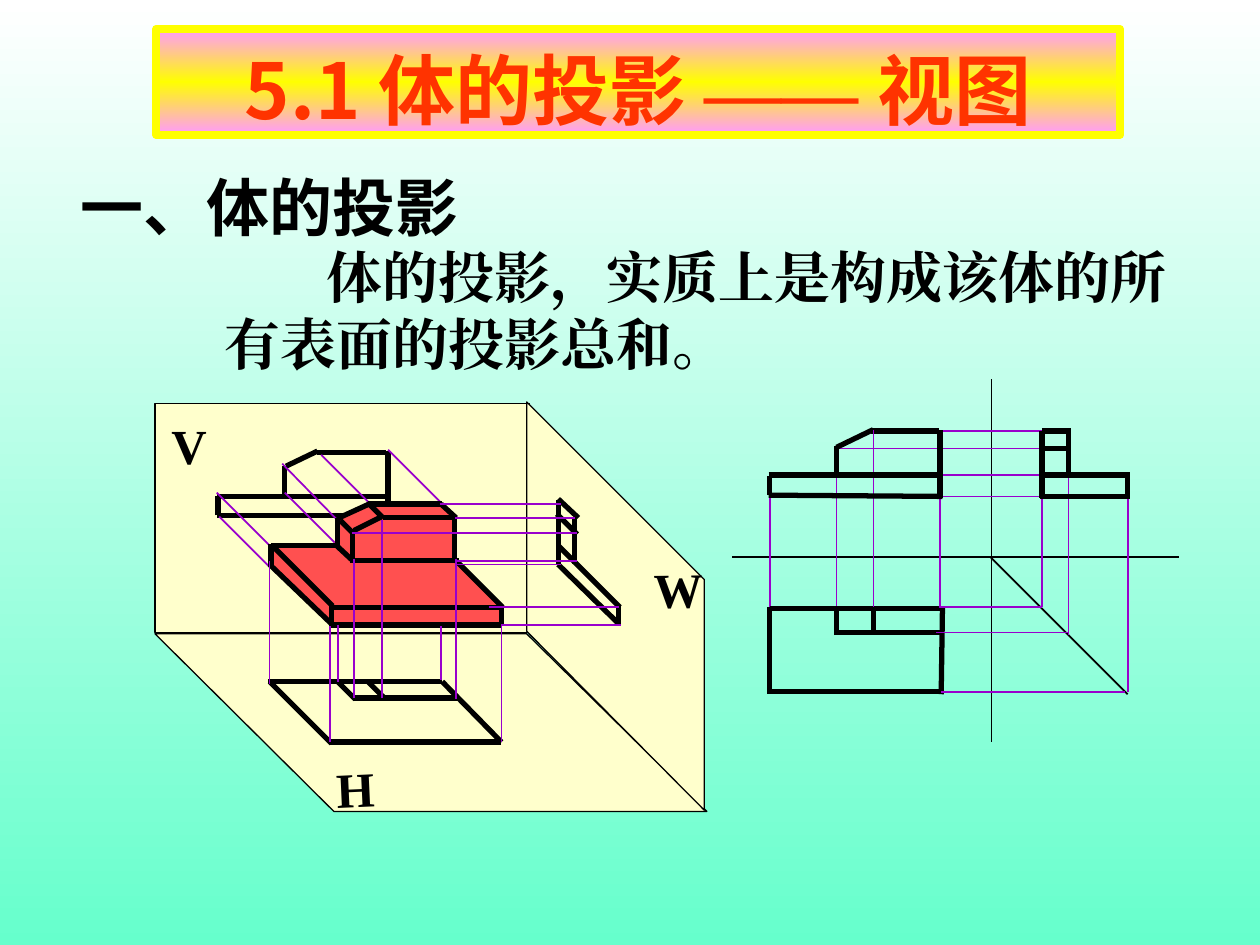
"""Build the slide on projections of a solid and its three views."""
from copy import deepcopy
from dataclasses import dataclass

from pptx import Presentation
from pptx.dml.color import RGBColor
from pptx.enum.shapes import MSO_CONNECTOR, MSO_SHAPE
from pptx.enum.text import MSO_ANCHOR, PP_ALIGN
from pptx.oxml.ns import qn
from pptx.util import Inches, Pt

COLUMNS, ROWS = 1000, 750
CELL = Inches(10) // COLUMNS


@dataclass(frozen=True)
class Theme:
    """Colours, type sizes, fonts and line widths of the slide."""
    ink: str = "000000"
    title: str = "FF3300"
    border: str = "FFFF00"
    ray: str = "9900CC"
    plane: str = "FFFFCC"
    solid: str = "FF5050"
    page_stops: tuple = ("FFFFFF", "66FFCC")
    title_stops: tuple = ("FF99FF", "FFFF00", "FF99FF")
    latin: str = "Times New Roman"
    chinese: str = "Noto Sans CJK SC"
    title_size: int = 44
    heading_size: int = 36
    body_size: int = 32
    label_size: int = 28
    hair: float = 0.75
    thin: float = 1
    thick: float = 3
    frame: float = 4.5


THEME = Theme()


@dataclass(frozen=True)
class Strokes:
    """Straight segments (from column, row, to column, row) in one pen."""
    colour: str
    width: float
    segments: tuple


@dataclass(frozen=True)
class Face:
    """A filled polygon through (column, row) corners."""
    fill: str
    line: str
    width: float
    corners: tuple


@dataclass(frozen=True)
class Caption:
    """Text spans (wording, font) in a cell area of the grid."""
    area: tuple
    spans: tuple
    size: int
    colour: str = THEME.ink
    leading: float = 1.0
    align: PP_ALIGN = PP_ALIGN.LEFT
    anchor: MSO_ANCHOR = MSO_ANCHOR.TOP
    wrap: bool = False
    indent: int = 0
    rotation: float = 0


def edges(*segments: tuple) -> Strokes:
    """Return visible edges of a body or view."""
    return Strokes(THEME.ink, THEME.thick, segments)


def rays(*segments: tuple) -> Strokes:
    """Return projection rays."""
    return Strokes(THEME.ray, THEME.thin, segments)


def label(letter: str, left: int, top: int, width: int, rotation: float) -> Caption:
    """Return the letter naming a projection plane."""
    return Caption((left, top, width, 57), ((letter, THEME.latin),), THEME.label_size,
                   align=PP_ALIGN.CENTER, anchor=MSO_ANCHOR.MIDDLE, rotation=rotation)


PLANES = (
    Face(THEME.plane, THEME.ink, THEME.hair, ((123, 503), (418, 503), (561, 644), (265, 644))),
    Face(THEME.plane, THEME.ink, THEME.hair, ((123, 320), (420, 320), (420, 502), (123, 502))),
    Face(THEME.plane, THEME.ink, THEME.hair, ((418, 501), (559, 643), (559, 460), (418, 319))),
)
LABELS = (label("V", 126, 325, 48, 0), label("W", 509, 439, 48, 359.4),
          label("H", 257, 597, 50, 357.4))
FRONT_PROJECTION = (
    edges((309, 409, 172, 409), (173, 409, 173, 394), (308, 411, 308, 358),
          (306, 359, 252, 359), (226, 394, 226, 370), (227, 370, 252, 358),
          (172, 394, 308, 394)),
    rays((213, 449, 174, 410), (214, 433, 172, 391), (294, 400, 255, 361),
         (353, 402, 308, 357), (268, 433, 226, 391), (268, 413, 224, 368)),
)
SOLID = (
    Face(THEME.solid, THEME.solid, THEME.thin,
         ((215, 433), (266, 433), (269, 413), (291, 401), (348, 401), (361, 411),
          (361, 445), (399, 484), (398, 496), (264, 496), (215, 450))),
    edges((304, 411, 293, 400), (263, 481, 263, 496), (215, 450, 215, 432),
          (281, 445, 364, 445), (361, 446, 361, 411), (303, 410, 281, 421),
          (293, 400, 269, 411), (292, 400, 351, 400), (304, 411, 363, 411),
          (280, 420, 280, 447), (268, 411, 268, 433), (214, 448, 264, 496),
          (262, 482, 398, 482), (398, 482, 398, 497), (261, 496, 398, 496),
          (216, 433, 264, 481), (399, 482, 361, 444), (280, 445, 266, 432),
          (215, 433, 267, 433), (362, 411, 350, 400), (280, 423, 270, 413)),
)
TOP_PROJECTION = (
    edges((262, 589, 398, 589), (213, 541, 351, 541), (214, 541, 263, 590),
          (351, 541, 398, 589), (268, 541, 282, 555), (281, 554, 364, 554),
          (292, 541, 305, 554)),
    rays((214, 445, 214, 543), (262, 497, 262, 589), (398, 496, 398, 589),
         (350, 497, 350, 540), (268, 496, 268, 541), (281, 444, 281, 554),
         (303, 413, 303, 554), (362, 444, 362, 555)),
)
SIDE_PROJECTION = (
    edges((443, 448, 491, 495), (443, 433, 492, 482), (443, 397, 443, 448),
          (456, 410, 456, 448), (491, 481, 491, 496), (443, 396, 459, 411),
          (458, 424, 442, 408)),
    rays((398, 496, 493, 496), (363, 448, 445, 448), (388, 482, 491, 482),
         (279, 423, 458, 423), (349, 400, 445, 400), (361, 411, 456, 411),
         (362, 445, 458, 445)),
)
THREE_VIEWS = (
    Strokes(THEME.ink, THEME.thin,
            ((581, 442, 936, 442), (787, 301, 787, 589), (786, 442, 895, 551))),
    rays((611, 393, 611, 483), (746, 390, 746, 483), (664, 374, 664, 481),
         (747, 342, 845, 342), (665, 356, 845, 356)),
    edges((664, 502, 747, 502), (611, 549, 748, 549), (611, 483, 749, 483),
          (611, 482, 611, 551), (748, 482, 747, 551), (664, 504, 664, 483)),
    rays((748, 377, 826, 377), (748, 394, 825, 394), (745, 482, 827, 482),
         (827, 482, 827, 394), (747, 549, 893, 549), (895, 549, 895, 392),
         (743, 502, 848, 502), (848, 504, 848, 340)),
    edges((746, 378, 746, 341), (745, 342, 691, 342), (664, 378, 664, 354),
          (664, 355, 693, 341), (827, 380, 827, 342), (827, 342, 850, 342),
          (827, 356, 850, 356), (848, 342, 848, 377), (895, 395, 895, 377),
          (827, 377, 897, 377), (825, 394, 897, 394), (827, 377, 827, 395)),
    Strokes(THEME.ray, THEME.hair, ((693, 341, 693, 483),)),
    edges((693, 482, 693, 503), (748, 394, 610, 393), (611, 393, 611, 378),
          (610, 377, 747, 377), (746, 376, 746, 395)),
)
TITLE = Caption((124, 23, 765, 84),
                (("5.1 体的投影 ", THEME.chinese), ("—— ", THEME.latin), ("视图", THEME.chinese)),
                THEME.title_size, THEME.title, 1.3, PP_ALIGN.CENTER, wrap=True)
HEADING = Caption((54, 124, 320, 70), (("一、体的投影", THEME.chinese),),
                  THEME.heading_size, leading=1.3)
BODY = Caption((168, 187, 787, 117),
               (("体的投影，实质上是构成该体的所有表面的投影总和。", THEME.latin),),
               THEME.body_size, leading=1.2, anchor=MSO_ANCHOR.MIDDLE, wrap=True, indent=81)


def apply(target, **values) -> None:
    """Set each named attribute on the target."""
    for name, value in values.items():
        setattr(target, name, value)


def paint_gradient(fill, colours: tuple) -> None:
    """Fill from top to bottom with evenly spaced colours."""
    fill.gradient()
    fill.gradient_angle = 270
    first = fill.gradient_stops[0]._gs
    for _ in colours[2:]:
        first.addnext(deepcopy(first))
    for index, (stop, colour) in enumerate(zip(fill.gradient_stops, colours)):
        stop.color.rgb = RGBColor.from_string(colour)
        stop.position = index / (len(colours) - 1)


def set_pen(line, colour: str, width: float) -> None:
    """Give a line its colour and width."""
    line.color.rgb = RGBColor.from_string(colour)
    line.width = Pt(width)


def draw_strokes(page, strokes: Strokes) -> None:
    """Draw every segment as a connector."""
    for segment in strokes.segments:
        stroke = page.shapes.add_connector(MSO_CONNECTOR.STRAIGHT, *(CELL * n for n in segment))
        set_pen(stroke.line, strokes.colour, strokes.width)
        properties = stroke._element.spPr
        properties.append(properties.makeelement(qn("a:effectLst"), {}))


def draw_face(page, face: Face) -> None:
    """Draw a closed filled polygon."""
    builder = page.shapes.build_freeform(*face.corners[0], scale=CELL)
    shape = builder.add_line_segments(face.corners[1:], close=True).convert_to_shape()
    shape.shadow.inherit = False
    shape.fill.solid()
    shape.fill.fore_color.rgb = RGBColor.from_string(face.fill)
    set_pen(shape.line, face.line, face.width)


def write_caption(box, caption: Caption) -> None:
    """Write the spans of a caption into a box."""
    box.rotation = caption.rotation
    frame = box.text_frame
    apply(frame, word_wrap=caption.wrap, vertical_anchor=caption.anchor)
    para = frame.paragraphs[0]
    para.alignment = caption.align
    if caption.leading != 1:
        para.line_spacing = Pt(caption.size * caption.leading)
    if caption.indent:
        para._p.get_or_add_pPr().set("indent", str(CELL * caption.indent))
    for wording, font in caption.spans:
        span = para.add_run()
        span.text = wording
        apply(span.font, name=font, size=Pt(caption.size), bold=True)
        span.font.color.rgb = RGBColor.from_string(caption.colour)
        properties = span._r.get_or_add_rPr()
        properties.append(properties.makeelement(qn("a:ea"), {"typeface": font}))


def draw_caption(page, caption: Caption) -> None:
    """Add a text box holding a caption."""
    write_caption(page.shapes.add_textbox(*(CELL * n for n in caption.area)), caption)


def draw_title(page, caption: Caption) -> None:
    """Draw the framed title banner."""
    banner = page.shapes.add_shape(MSO_SHAPE.RECTANGLE, *(CELL * n for n in caption.area))
    banner.shadow.inherit = False
    paint_gradient(banner.fill, THEME.title_stops)
    set_pen(banner.line, THEME.border, THEME.frame)
    write_caption(banner, caption)


def main() -> None:
    """Build and save the deck."""
    deck = Presentation()
    apply(deck, slide_width=CELL * COLUMNS, slide_height=CELL * ROWS)
    page = deck.slides.add_slide(deck.slide_layouts[6])
    paint_gradient(page.background.fill, THEME.page_stops)
    painters = {Face: draw_face, Strokes: draw_strokes, Caption: draw_caption}
    for part in (*PLANES, *LABELS, *FRONT_PROJECTION, *SOLID, *TOP_PROJECTION,
                 *SIDE_PROJECTION, *THREE_VIEWS, HEADING, BODY):
        painters[type(part)](page, part)
    draw_title(page, TITLE)
    deck.save("out.pptx")


if __name__ == "__main__":
    main()
